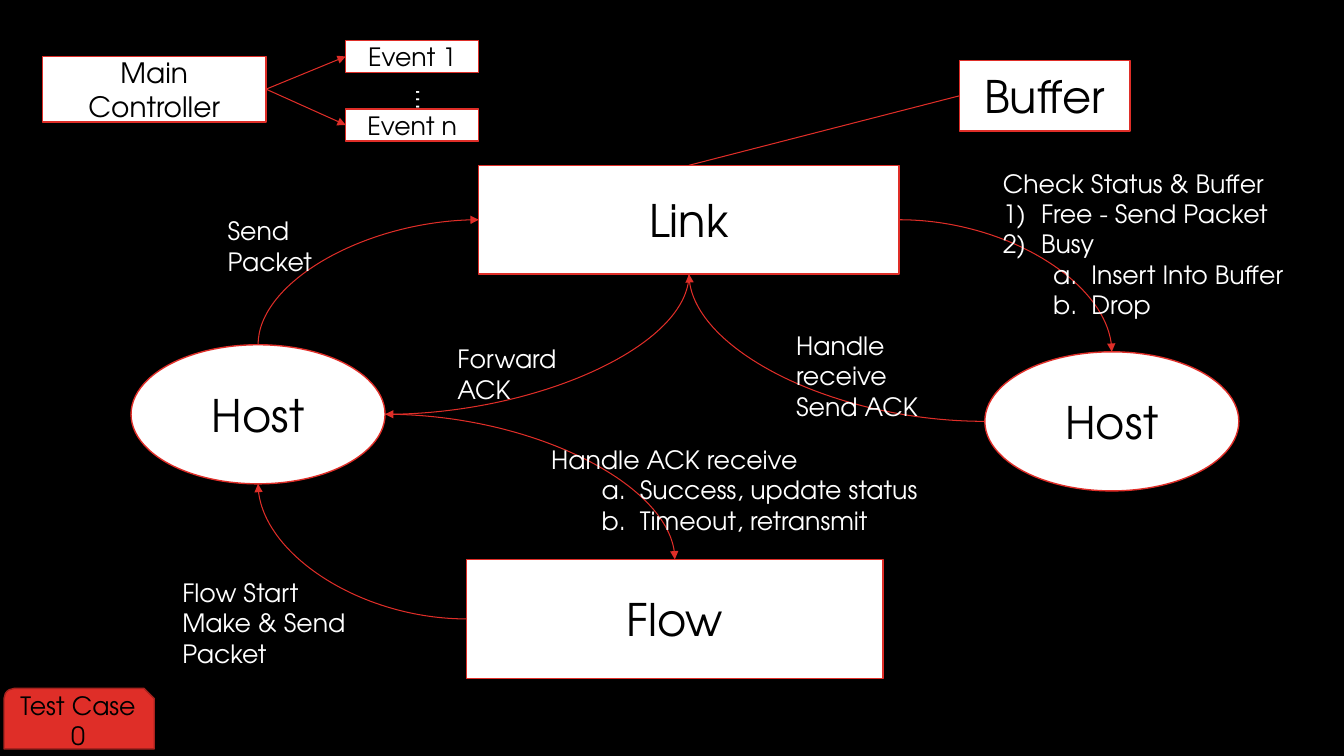
from dataclasses import dataclass

from lxml import etree
from pptx import Presentation
from pptx import util as u
from pptx.dml.color import RGBColor
from pptx.enum import shapes, text
from pptx.oxml.ns import qn


@dataclass(frozen=True)
class Theme:
    font: str = "TeX Gyre Adventor"
    background: str = "000000"
    paper: str = "FFFFFF"
    ink: str = "000000"
    accent: str = "DF2E28"
    accent_dark: str = "A5221E"
    large: int = 32
    medium: int = 20
    small: int = 18
    outline: float = 1
    link_line: float = 0.75


class Diagram:
    """Draws on one slide; lengths are columns and rows of a 40 by 30 grid."""

    COLUMNS, ROWS = 40, 30
    NUMBERING = {"1)": ("arabicParenR", 0, 0.38), "a.": ("alphaLcPeriod", 1, 0.88)}

    def __init__(self, deck, theme):
        self.theme = theme
        self.column = deck.slide_width / self.COLUMNS
        self.row = deck.slide_height / self.ROWS
        self.page = deck.slides.add_slide(deck.slide_layouts[6])
        fill = self.page.background.fill
        fill.solid()
        fill.fore_color.rgb = RGBColor.from_string(theme.background)

    def place(self, left, top, width, height):
        return (round(left * self.column), round(top * self.row),
                round(width * self.column), round(height * self.row))

    def add_span(self, para, words, size, color):
        span = para.add_run()
        span.text = words
        span.font.name = self.theme.font
        span.font.size = u.Pt(size)
        span.font.color.rgb = RGBColor.from_string(color)

    def node(self, words, area, size, kind=shapes.MSO_SHAPE.RECTANGLE, fill=None, line=None):
        box = self.page.shapes.add_shape(kind, *self.place(*area))
        box.shadow.inherit = False
        box.fill.solid()
        box.fill.fore_color.rgb = RGBColor.from_string(fill or self.theme.paper)
        box.line.color.rgb = RGBColor.from_string(line or self.theme.accent)
        box.line.width = u.Pt(self.theme.outline)
        frame = box.text_frame
        frame.word_wrap = True
        frame.vertical_anchor = text.MSO_ANCHOR.MIDDLE
        para = frame.paragraphs[0]
        para.alignment = text.PP_ALIGN.CENTER
        self.add_span(para, words, size, self.theme.ink)
        return box

    def label(self, area, *lines, vertical=False):
        """Each line is plain words or a (numbering, words) pair."""
        box = self.page.shapes.add_textbox(*self.place(*area))
        frame = box.text_frame
        frame.word_wrap = not vertical
        frame.auto_size = text.MSO_AUTO_SIZE.SHAPE_TO_FIT_TEXT
        if vertical:
            frame._txBody.bodyPr.set("vert", "eaVert")
        for index, line in enumerate(lines):
            para = frame.add_paragraph() if index else frame.paragraphs[0]
            if isinstance(line, tuple):
                mark, line = line
                self.number(para, mark)
            self.add_span(para, line, self.theme.small, self.theme.paper)

    def number(self, para, mark):
        scheme, para.level, margin = self.NUMBERING[mark]
        props = para._p.get_or_add_pPr()
        props.set("marL", str(u.Inches(margin)))
        props.set("indent", str(u.Inches(-0.38)))
        etree.SubElement(props, qn("a:buFont"), typeface="+mj-lt")
        etree.SubElement(props, qn("a:buAutoNum"), type=scheme)

    def side(self, box, name):
        across, down = {"left": (0, 0.5), "right": (1, 0.5),
                        "top": (0.5, 0), "bottom": (0.5, 1)}[name]
        return round(box.left + across * box.width), round(box.top + down * box.height)

    def connect(self, kind, begin, end, arrow):
        connector = self.page.shapes.add_connector(kind, *begin, *end)
        connector.line.color.rgb = RGBColor.from_string(self.theme.accent)
        connector.line.width = u.Pt(self.theme.link_line)
        if arrow:
            etree.SubElement(connector.line._get_or_add_ln(), qn("a:tailEnd"), type="triangle")
        etree.SubElement(connector._element.spPr, qn("a:effectLst"))
        return connector

    def straight(self, source, source_side, target, target_side, arrow=True):
        self.connect(shapes.MSO_CONNECTOR.STRAIGHT, self.side(source, source_side),
                     self.side(target, target_side), arrow)

    def curve(self, source, source_side, target, target_side):
        """A quarter bend, turned so that it leaves the source at a right angle."""
        x1, y1 = self.side(source, source_side)
        x2, y2 = self.side(target, target_side)
        turn = {"right": 0, "bottom": 90, "left": 180, "top": 270}[source_side]
        width, height = abs(x2 - x1), abs(y2 - y1)
        if turn % 180:
            width, height = height, width
        left, top = (x1 + x2 - width) // 2, (y1 + y2 - height) // 2
        connector = self.connect(shapes.MSO_CONNECTOR.CURVE, (left, top),
                                 (left + width, top + height), True)
        props = connector._element.spPr
        props.find(qn("a:prstGeom")).set("prst", "curvedConnector2")
        if turn:
            props.find(qn("a:xfrm")).set("rot", str(turn * 60000))


def main():
    deck = Presentation()
    deck.slide_width, deck.slide_height = u.Inches(13.33), u.Inches(7.5)
    theme = Theme()
    diagram = Diagram(deck, theme)
    oval = shapes.MSO_SHAPE.OVAL

    # Network nodes
    sender = diagram.node("Host", (3.9, 13.68, 7.56, 5.52), theme.large, oval)
    link = diagram.node("Link", (14.25, 6.56, 12.51, 4.32), theme.large)
    receiver = diagram.node("Host", (29.31, 13.96, 7.56, 5.52), theme.large, oval)
    flow = diagram.node("Flow", (13.89, 22.2, 12.39, 4.72), theme.large)
    buffer = diagram.node("Buffer", (28.56, 2.4, 5.07, 2.8), theme.large)

    # Controller and its events
    controller = diagram.node("Main Controller", (1.26, 2.24, 6.66, 2.6), theme.medium)
    for words, top in (("Event 1", 1.6), ("Event n", 4.32)):
        event = diagram.node(words, (10.29, top, 3.96, 1.28), theme.small)
        diagram.straight(controller, "right", event, "left")
    diagram.label((11.79, 3.16, 1.5, 1.08), "…", vertical=True)

    # Packet and ACK routes
    diagram.straight(buffer, "left", link, "top", arrow=False)
    for route in (
        (flow, "left", sender, "bottom"),
        (sender, "top", link, "left"),
        (link, "right", receiver, "top"),
        (receiver, "left", link, "bottom"),
        (link, "bottom", sender, "right"),
        (sender, "right", flow, "top"),
    ):
        diagram.curve(*route)

    # Route labels
    diagram.label((5.13, 22.72, 6.87, 2.84), "Flow Start", "Make & Send Packet")
    diagram.label((6.48, 8.36, 4.32, 1.6), "Send Packet")
    diagram.label((29.55, 6.48, 9.72, 6.48), "Check Status & Buffer",
                  ("1)", "Free - Send Packet"), ("1)", "Busy"),
                  ("a.", "Insert Into Buffer"), ("a.", "Drop"))
    diagram.label((23.4, 12.92, 5.19, 2.84), "Handle receive", "Send ACK")
    diagram.label((13.32, 13.44, 4.56, 1.6), "Forward ACK")
    diagram.label((16.11, 17.44, 11.64, 4.04), "Handle ACK receive",
                  ("a.", "Success, update status"), ("a.", "Timeout, retransmit"))

    # Test case tag
    diagram.node("Test Case 0", (0.12, 27.32, 4.47, 2.4), theme.small,
                 shapes.MSO_SHAPE.SNIP_ROUND_RECTANGLE, theme.accent, theme.accent_dark)

    deck.save("out.pptx")


if __name__ == "__main__":
    main()
